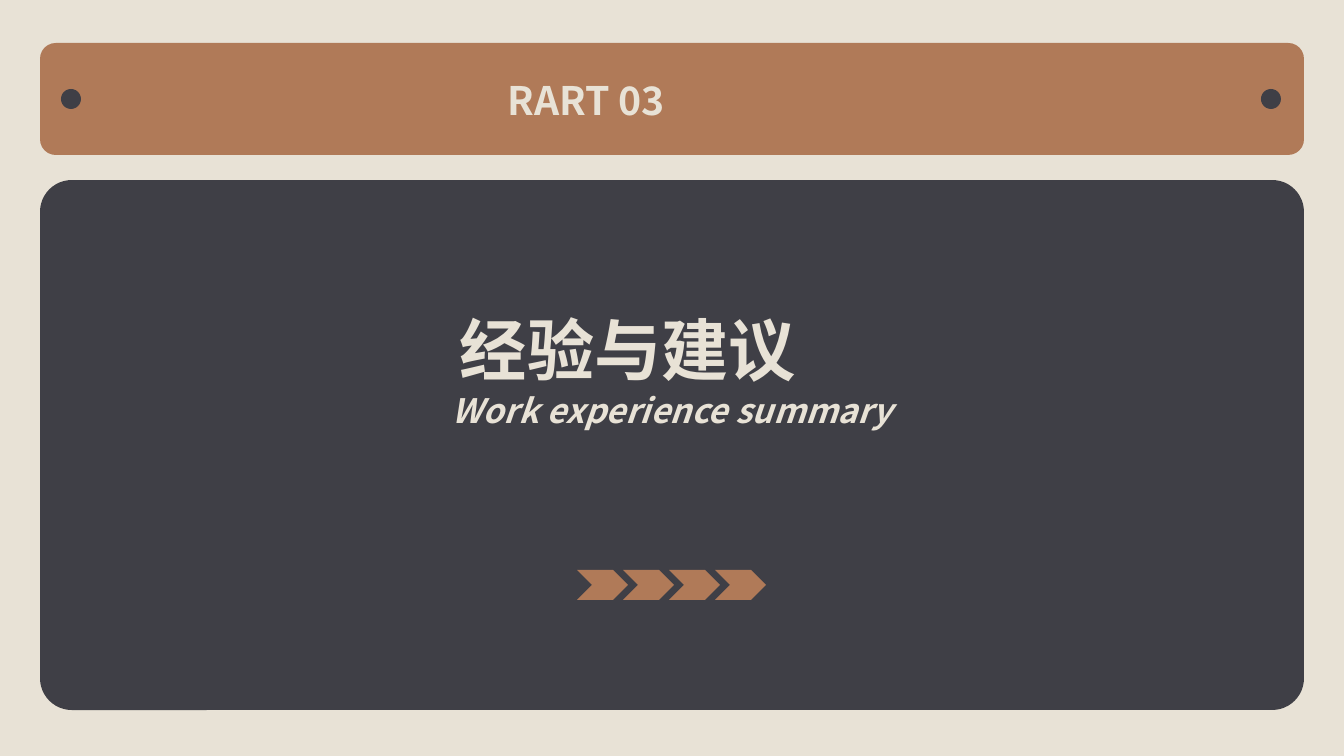
import pptx
import pptx.util
import pptx.dml.color
import pptx.enum.shapes
import pptx.enum.text
import pptx.oxml.ns
import lxml.etree

SCALE = 914400 / 100.8
FONT = "Noto Sans CJK SC"
CREAM, DARK, CLAY = "E8E2D6", "3F3F46", "B07A58"
KIND = pptx.enum.shapes.MSO_SHAPE
ALIGN = pptx.enum.text.PP_ALIGN


def px(*sizes):
    return [pptx.util.Emu(round(size * SCALE)) for size in sizes]


def paint(fill, color):
    fill.solid()
    fill.fore_color.rgb = pptx.dml.color.RGBColor.from_string(color)


def add_form(shapes, kind, box, color, round_by=None):
    form = shapes.add_shape(kind, *px(*box))
    form.shadow.inherit = False
    form.line.fill.background()
    paint(form.fill, color)
    if round_by is not None:
        form.adjustments[0] = round_by


def add_text(shapes, text, box, size, align, italic=None):
    frame = shapes.add_textbox(*px(*box)).text_frame
    frame.word_wrap = True
    frame.auto_size = pptx.enum.text.MSO_AUTO_SIZE.SHAPE_TO_FIT_TEXT
    para = frame.paragraphs[0]
    para.text = text
    para.alignment = align
    font = para.font
    font.name = FONT
    font.size = pptx.util.Pt(size)
    font.bold = True
    font.italic = italic
    paint(font.fill, CREAM)
    east = lxml.etree.Element(pptx.oxml.ns.qn("a:ea"), typeface=FONT)
    font._element.find(pptx.oxml.ns.qn("a:latin")).addnext(east)


def main():
    deck = pptx.Presentation()
    deck.slide_width, deck.slide_height = px(1344, 756)
    slide = deck.slides.add_slide(deck.slide_layouts[6])
    paint(slide.background.fill, CREAM)
    shapes = slide.shapes

    add_form(shapes, KIND.ROUNDED_RECTANGLE, (40, 180, 1264, 530), DARK, 0.06)
    add_form(shapes, KIND.ROUNDED_RECTANGLE, (40, 43, 1264, 112), CLAY, 0.14)
    for left in (61, 1261):
        add_form(shapes, KIND.OVAL, (left, 89, 20, 20), DARK)

    add_text(shapes, "RART 03", (498, 71, 348, 57), 28, ALIGN.JUSTIFY)
    add_text(shapes, "经验与建议", (450, 303, 409, 92), 48, ALIGN.JUSTIFY)
    add_text(shapes, "Work experience summary", (378, 385, 588, 50), 24,
             ALIGN.CENTER, True)

    arrows = shapes.add_group_shape().shapes
    for step in range(4):
        add_form(arrows, KIND.CHEVRON, (577 + 46 * step, 570, 51, 30), CLAY)

    deck.save("out.pptx")


if __name__ == "__main__":
    main()
